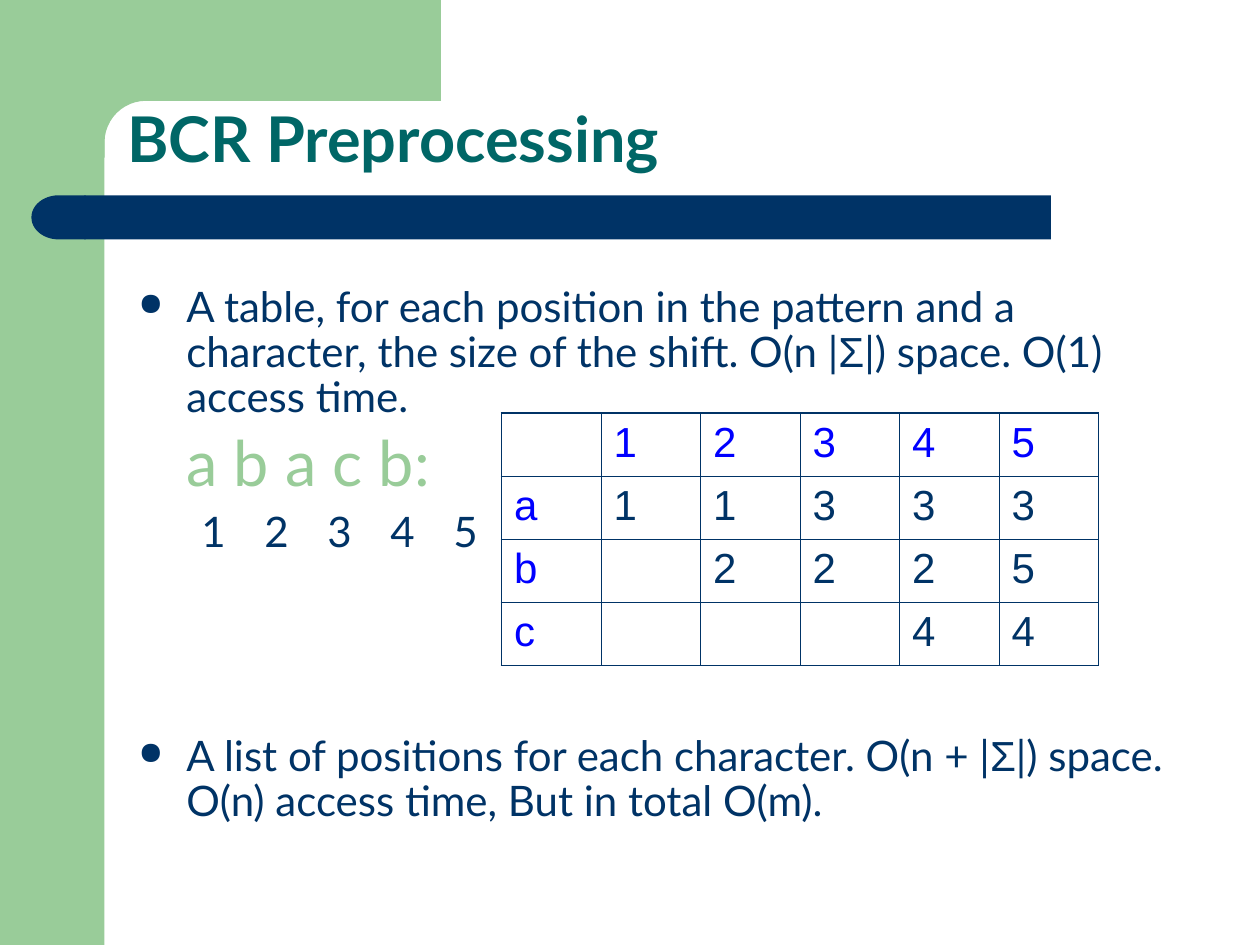
import math

from lxml import etree
from pptx import Presentation
from pptx.dml.color import RGBColor
from pptx.enum.shapes import MSO_SHAPE
from pptx.enum.text import MSO_ANCHOR, MSO_AUTO_SIZE, PP_ALIGN
from pptx.oxml.ns import qn
from pptx.util import Inches, Pt

RECTANGLE = MSO_SHAPE.RECTANGLE
DELAY = MSO_SHAPE.FLOWCHART_DELAY
BOTTOM = MSO_ANCHOR.BOTTOM
NO_AUTOFIT = MSO_AUTO_SIZE.NONE
LEFT = PP_ALIGN.LEFT

GREEN = RGBColor(0x99, 0xCC, 0x99)
NAVY = RGBColor(0x00, 0x33, 0x66)
TEAL = RGBColor(0x00, 0x66, 0x66)
BLUE = RGBColor(0x00, 0x00, 0xFF)


def paint(shape, color):
    shape.shadow.inherit = False
    shape.fill.solid()
    shape.fill.fore_color.rgb = color
    shape.line.fill.background()


def add_run(paragraph, text, size, color, font="Lato", bold=False):
    run = paragraph.add_run()
    run.text = text
    run.font.name = font
    run.font.size = Pt(size)
    run.font.bold = bold
    run.font.color.rgb = color


presentation = Presentation()
presentation.slide_width = Inches(10)
presentation.slide_height = Inches(7.5)
slide = presentation.slides.add_slide(presentation.slide_layouts[5])
shapes = slide.shapes

# Green side band and the top block with its rounded inner corner
side_band = shapes.add_shape(RECTANGLE, 0, Inches(-0.03), Inches(0.83), Inches(7.53))
paint(side_band, GREEN)

radius = 0.33
corner_x, corner_y = 1.16, 1.13
arc = []
for step in range(13):
    angle = math.pi / 2 * step / 12
    arc.append((corner_x - radius * math.sin(angle), corner_y - radius * math.cos(angle)))
outline = [(3.5, 0.8), *arc, (0.83, 1.25), (0.5, 1.25), (0.5, -0.03)]
builder = shapes.build_freeform(Inches(3.5), Inches(-0.03))
builder.add_line_segments([(Inches(x), Inches(y)) for x, y in outline], close=True)
paint(builder.convert_to_shape(), GREEN)

# Navy bar with a round left end
bar = shapes.add_shape(RECTANGLE, Inches(0.67), Inches(1.55), Inches(7.67), Inches(0.35))
paint(bar, NAVY)
bar_end = shapes.add_shape(DELAY, Inches(0.25), Inches(1.55), Inches(0.43), Inches(0.35))
bar_end._element.spPr.get_or_add_xfrm().set("flipH", "1")
paint(bar_end, NAVY)

# Title, brought in front of the decoration
title = shapes.title
title.left, title.top = Inches(0.91), Inches(0.36)
title.width, title.height = Inches(8.51), Inches(1.09)
title.text_frame.auto_size = NO_AUTOFIT
title.text_frame.vertical_anchor = BOTTOM
title_paragraph = title.text_frame.paragraphs[0]
title_paragraph.alignment = LEFT
title_paragraph.line_spacing = 0.9
add_run(title_paragraph, "BCR Preprocessing", 36, TEAL, bold=True)
shapes._spTree.append(title._element)

# Body: (bulleted, left margin, space before, tab stops, runs)
BODY = [
    (True, 0.38, 0, [], [
        ("A table, for each position in the pattern and a character, "
         "the size of the shift. O(n |", 24, NAVY, "Lato"),
        ("Σ", 24, NAVY, "Arial"),
        ("|) space. O(1) access time.", 24, NAVY, "Lato"),
    ]),
    (False, 0.38, 6, [], [("a b a c b:", 36, GREEN, "Lato")]),
    (False, 0, 6, [0.32, 0.77, 1.22, 1.59, 1.95],
     [("\t1\t2\t3\t4\t5", 24, NAVY, "Lato")]),
    (True, 0.38, 102, [], [
        ("A list of positions for each character. O(n + |", 24, NAVY, "Lato"),
        ("Σ", 24, NAVY, "Arial"),
        ("|) space. O(n) access time, But in total O(m).", 24, NAVY, "Lato"),
    ]),
]
body = shapes.add_textbox(Inches(1), Inches(2.22), Inches(8.49), Inches(4.48))
frame = body.text_frame
frame.word_wrap = True
for index, (bulleted, margin, space_before, tab_stops, runs) in enumerate(BODY):
    paragraph = frame.add_paragraph() if index else frame.paragraphs[0]
    paragraph.line_spacing = 0.9
    paragraph.space_before = Pt(space_before)
    properties = paragraph._p.get_or_add_pPr()
    properties.set("marL", str(Inches(margin)))
    properties.set("indent", str(Inches(-margin) if bulleted else 0))
    if bulleted:
        bullet_color = etree.SubElement(properties, qn("a:buClr"))
        etree.SubElement(bullet_color, qn("a:srgbClr"), val=str(NAVY))
        etree.SubElement(properties, qn("a:buSzPct"), val="75000")
        etree.SubElement(properties, qn("a:buChar"), char="●")
    if tab_stops:
        tab_list = etree.SubElement(properties, qn("a:tabLst"))
        for stop in tab_stops:
            etree.SubElement(tab_list, qn("a:tab"), pos=str(Inches(stop)), algn="l")
    for text, size, color, font in runs:
        add_run(paragraph, text, size, color, font)

# Shift table: pattern positions across, characters down
SHIFTS = [
    ["", "1", "2", "3", "4", "5"],
    ["a", "1", "1", "3", "3", "3"],
    ["b", "", "2", "2", "2", "5"],
    ["c", "", "", "", "4", "4"],
]
row_count, column_count = len(SHIFTS), len(SHIFTS[0])
table = shapes.add_table(row_count, column_count, Inches(3.98), Inches(3.28),
                         Inches(4.74), Inches(2)).table
table.first_row = False
table.horz_banding = False
for row, values in enumerate(SHIFTS):
    for column, value in enumerate(values):
        cell = table.cell(row, column)
        cell.fill.background()
        paragraph = cell.text_frame.paragraphs[0]
        if value:
            is_header = row == 0 or column == 0
            add_run(paragraph, value, 24, BLUE if is_header else NAVY, "Arial")
        else:
            paragraph.font.size = Pt(24)
        outer_edges = {
            "a:lnL": column == 0,
            "a:lnR": column == column_count - 1,
            "a:lnT": row == 0,
            "a:lnB": row == row_count - 1,
        }
        cell_properties = cell._tc.get_or_add_tcPr()
        for position, (tag, is_outer) in enumerate(outer_edges.items()):
            width = Pt(1.08 if is_outer else 0.45)
            border = etree.Element(qn(tag), w=str(width))
            border_fill = etree.SubElement(border, qn("a:solidFill"))
            etree.SubElement(border_fill, qn("a:srgbClr"), val=str(NAVY))
            cell_properties.insert(position, border)

presentation.save("out.pptx")
